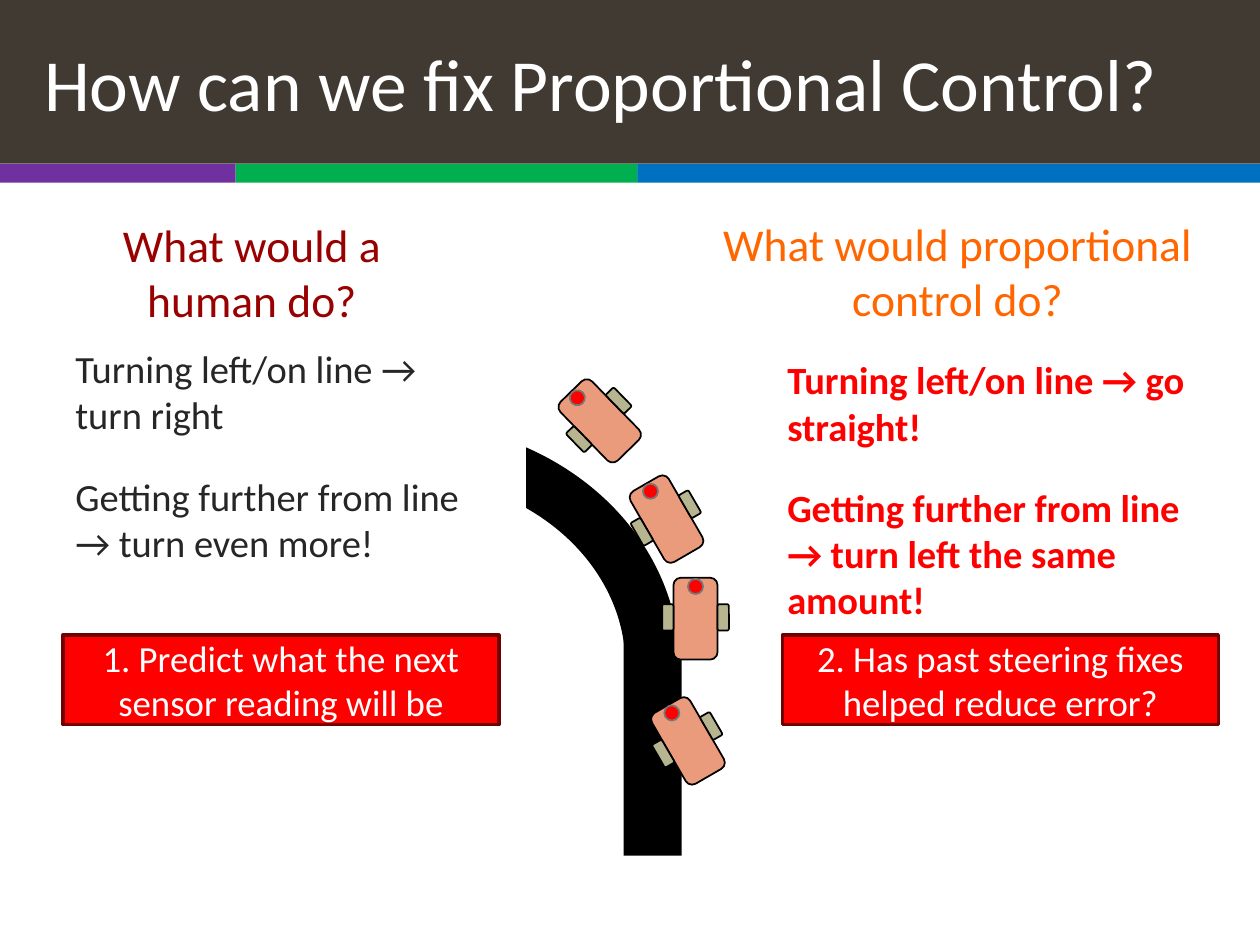
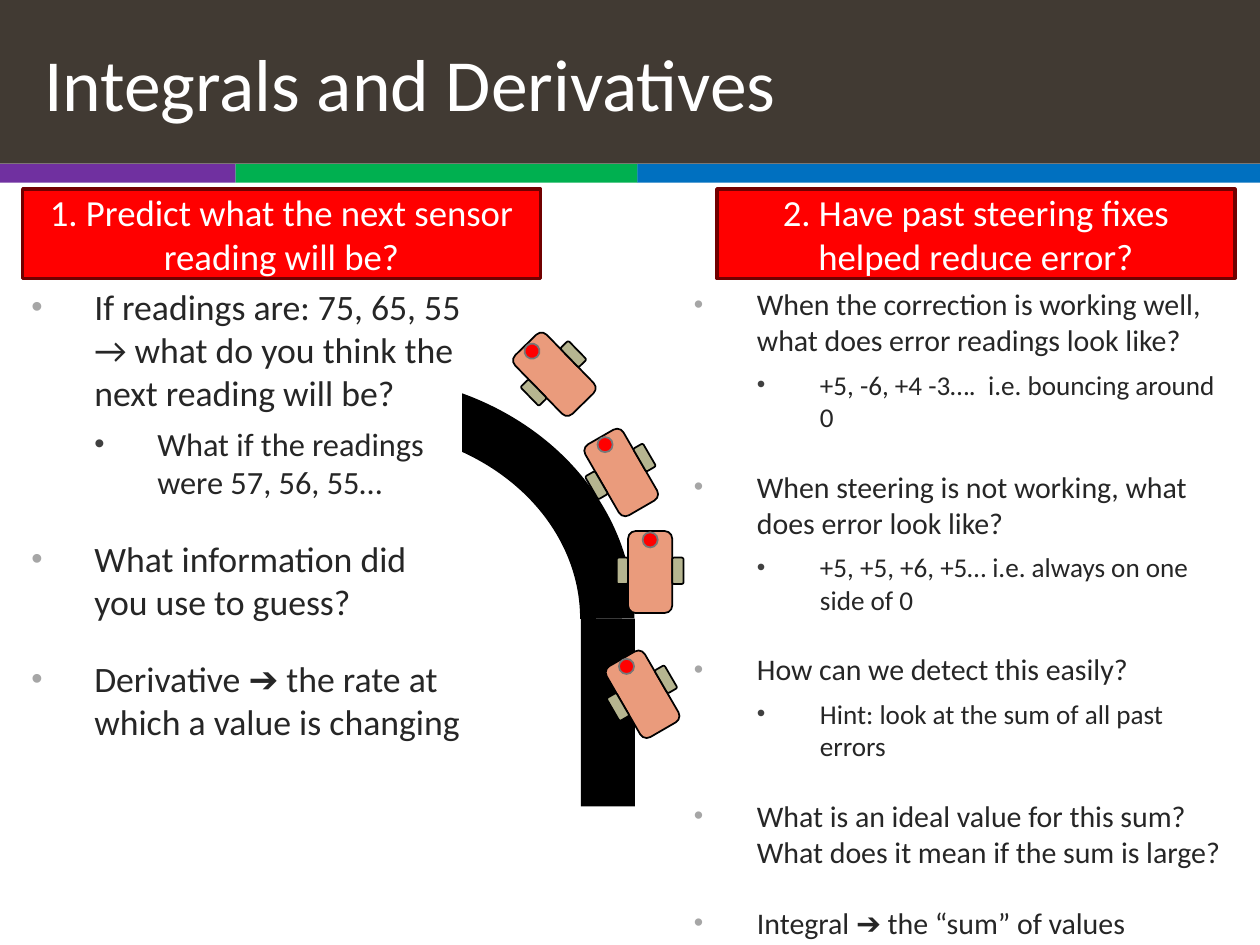
from lxml import etree
from pptx import Presentation
from pptx.dml.color import RGBColor
from pptx.enum.shapes import MSO_SHAPE
from pptx.enum.text import MSO_ANCHOR, PP_ALIGN
from pptx.oxml.ns import qn
from pptx.util import Inches, Pt

RECT, ROUNDED = MSO_SHAPE.RECTANGLE, MSO_SHAPE.ROUNDED_RECTANGLE
OVAL, ARC = MSO_SHAPE.OVAL, MSO_SHAPE.ARC
LEFT, CENTER = PP_ALIGN.LEFT, PP_ALIGN.CENTER
TOP, MIDDLE, BOTTOM = MSO_ANCHOR.TOP, MSO_ANCHOR.MIDDLE, MSO_ANCHOR.BOTTOM

FONT = "Calibri"
WHITE = RGBColor(0xFF, 0xFF, 0xFF)
BLACK = RGBColor(0x00, 0x00, 0x00)
RED = RGBColor(0xFF, 0x00, 0x00)
MAROON = RGBColor(0x71, 0x00, 0x00)
CRIMSON = RGBColor(0x99, 0x00, 0x00)
ORANGE = RGBColor(0xFF, 0x66, 0x00)
INK = RGBColor(0x26, 0x26, 0x26)
TITLE_BROWN = RGBColor(0x41, 0x3A, 0x33)
PURPLE = RGBColor(0x70, 0x30, 0xA0)
GREEN = RGBColor(0x00, 0xB0, 0x50)
BLUE = RGBColor(0x00, 0x70, 0xC0)
CAR_BODY = RGBColor(0xEA, 0x9B, 0x7C)
WHEEL = RGBColor(0xB6, 0xB5, 0x90)
SENSOR_EDGE = RGBColor(0x77, 0x77, 0x77)
BULLET_COLORS = ("A6A6A6", "404040")

COLUMNS, ROWS = 100, 75
TITLE_HEIGHT, STRIPE_HEIGHT = 13, 1.5
STRIPES = ((0, PURPLE), (18.7, GREEN), (50.6, BLUE))
QUESTION_HEIGHT = 7.1

# Centre column, centre row and heading of each car along the bend
CARS = ((54.6, 58.8, -30), (55.2, 49.1, 0), (52.9, 41.2, -30), (47.6, 33.4, -44.2))
BEND = (11.8, 35.6, 40, 34.4)


def grid(cells):
    """Length of a number of cells of the 100 by 75 grid."""
    return Inches(cells / 10)


def add_block(shapes, kind, area, fill=None, line=None, width=1):
    block = shapes.add_shape(kind, *map(grid, area))
    block.shadow.inherit = False
    if fill is None:
        block.fill.background()
    else:
        block.fill.solid()
        block.fill.fore_color.rgb = fill
    if line is None:
        block.line.fill.background()
    else:
        block.line.color.rgb = line
        block.line.width = Pt(width)
    return block


def set_bullet(paragraph, level):
    props = paragraph._p.get_or_add_pPr()
    color = etree.SubElement(props, qn("a:buClr"))
    etree.SubElement(color, qn("a:srgbClr"), val=BULLET_COLORS[level])
    etree.SubElement(props, qn("a:buSzPct"), val="90000")
    etree.SubElement(props, qn("a:buFont"), typeface="Arial")
    etree.SubElement(props, qn("a:buChar"), char="•")
    props.set("marL", str(grid(5 * (level + 1))))
    props.set("indent", str(grid(-5)))
    paragraph.level = level


def write(frame, *items, sizes=(22,), color=INK, bold=False, align=LEFT,
          anchor=TOP, bullets=False, gaps=(20, 6)):
    """Fill a frame; an item is a text, or a (level, text) pair."""
    frame.word_wrap = True
    frame.vertical_anchor = anchor
    for index, item in enumerate(items):
        level, text = (0, item) if isinstance(item, str) else item
        paragraph = frame.add_paragraph() if index else frame.paragraphs[0]
        if bullets:
            set_bullet(paragraph, level)
        paragraph.alignment = align
        if index:
            paragraph.space_before = Pt(gaps[level])
        run = paragraph.add_run()
        run.text = text
        run.font.name = FONT
        run.font.size = Pt(sizes[level])
        run.font.bold = bold
        run.font.color.rgb = color


def add_text(slide, area, *items, **style):
    write(slide.shapes.add_textbox(*map(grid, area)).text_frame, *items, **style)


def add_titled_slide(prs, title):
    slide = prs.slides.add_slide(prs.slide_layouts[6])
    ends = [start for start, _ in STRIPES[1:]] + [COLUMNS]
    for (start, color), end in zip(STRIPES, ends):
        area = (start, TITLE_HEIGHT, end - start, STRIPE_HEIGHT)
        add_block(slide.shapes, RECT, area, color)
    banner = add_block(slide.shapes, RECT, (0, 0, COLUMNS, TITLE_HEIGHT), TITLE_BROWN)
    banner.text_frame.margin_left = grid(3.5)
    write(banner.text_frame, title, sizes=(42,), color=WHITE, anchor=MIDDLE)
    return slide


def add_question(slide, left, top, width, text):
    box = add_block(slide.shapes, RECT, (left, top, width, QUESTION_HEIGHT), RED, MAROON, 2)
    write(box.text_frame, text, sizes=(21,), color=WHITE, align=CENTER, anchor=MIDDLE)


def add_car(slide, x, y, heading):
    car = slide.shapes.add_group_shape()
    add_block(car.shapes, ROUNDED, (x - 1.75, y - 3.25, 3.5, 6.5), CAR_BODY, BLACK)
    for side in (1, -1):
        wheel = (x + side * 2.2 - 0.45, y - 1.15, 0.9, 2.1)
        add_block(car.shapes, ROUNDED, wheel, WHEEL, BLACK)
    add_block(car.shapes, OVAL, (x - 0.6, y - 3.15, 1.2, 1.2), RED, SENSOR_EDGE)
    car.rotation = heading


def add_track(slide, straight, cover, shift=(0, 0)):
    """Road with four cars; the white cover cuts off the start of the bend."""
    dx, dy = shift
    left, top, width, height = BEND
    add_block(slide.shapes, RECT, straight, BLACK)
    add_block(slide.shapes, ARC, (left + dx, top + dy, width, height), None, BLACK, 31)
    for x, y, heading in CARS:
        add_car(slide, x + dx, y + dy, heading)
    add_block(slide.shapes, RECT, cover, WHITE, WHITE, 2)


def build_comparison(prs):
    slide = add_titled_slide(prs, "How can we fix Proportional Control?")
    add_track(slide, straight=(49.5, 50.7, 4.6, 17.2), cover=(27.5, 28.9, 14.1, 12.3))
    heading = {"sizes": (26,), "align": CENTER, "anchor": BOTTOM}
    add_text(slide, (5, 21.7, 30, 4.7), "What would a human do?", color=CRIMSON, **heading)
    add_text(slide, (55.1, 21.6, 41.8, 4.7), "What would proportional control do?",
             color=ORANGE, **heading)
    add_text(slide, (5, 26.9, 34.6, 24.1),
             "Turning left/on line → turn right",
             "Getting further from line → turn even more!")
    add_text(slide, (61.5, 27.8, 33.9, 24.1),
             "Turning left/on line → go straight!",
             "Getting further from line → turn left the same amount!",
             color=RED, bold=True)
    add_question(slide, 5, 50.4, 34.6, "1. Predict what the next sensor reading will be")
    add_question(slide, 62.1, 50.4, 34.6, "2. Has past steering fixes helped reduce error?")


def build_integrals(prs):
    slide = add_titled_slide(prs, "Integrals and Derivatives")
    add_track(slide, straight=(46.1, 49.1, 4.3, 14.9), cover=(22.4, 26.7, 14.1, 9.6),
              shift=(-3.6, -3.7))
    add_question(slide, 1.8, 15, 41.1, "1. Predict what the next sensor reading will be?")
    add_question(slide, 56.9, 15, 41.1, "2. Have past steering fixes helped reduce error?")
    add_text(slide, (1.5, 22.1, 36.1, 35.3),
             "If readings are: 75, 65, 55 → what do you think the next reading will be?",
             (1, "What if the readings were 57, 56, 55…"),
             "What information did you use to guess?",
             "Derivative ➔ the rate at which a value is changing",
             sizes=(20.4, 18.5), bullets=True)
    add_text(slide, (54.1, 22.2, 44.4, 50.1),
             "When the correction is working well, what does error readings look like?",
             (1, "+5, -6, +4 -3….  i.e. bouncing around 0"),
             "When steering is not working, what does error look like?",
             (1, "+5, +5, +6, +5… i.e. always on one side of 0"),
             "How can we detect this easily?",
             (1, "Hint: look at the sum of all past errors"),
             "What is an ideal value for this sum? What does it mean if the sum is large?",
             "Integral ➔ the “sum” of values",
             sizes=(17.1, 15.5), bullets=True)


def main():
    prs = Presentation()
    prs.slide_width, prs.slide_height = grid(COLUMNS), grid(ROWS)
    build_comparison(prs)
    build_integrals(prs)
    prs.save("out.pptx")


if __name__ == "__main__":
    main()
